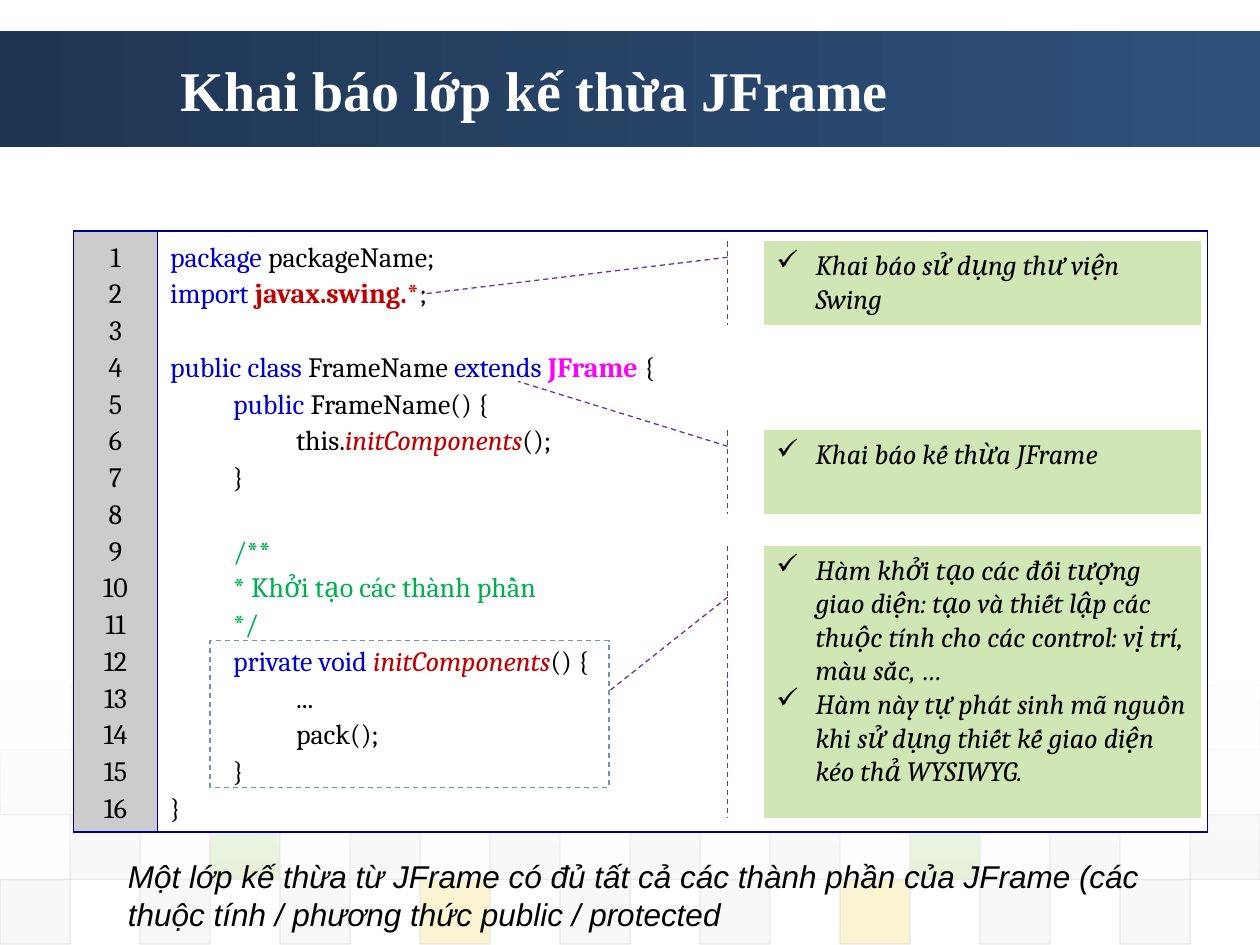
"""Builds a slide about declaring a class that inherits from JFrame."""
import dataclasses
import typing

import pptx
import pptx.dml.color
import pptx.enum.dml
import pptx.enum.shapes
import pptx.enum.text
import pptx.oxml
import pptx.oxml.ns
import pptx.util

Pt = pptx.util.Pt
SHAPES = pptx.enum.shapes.MSO_SHAPE
DASH = pptx.enum.dml.MSO_LINE.DASH
ALIGN = pptx.enum.text.PP_ALIGN

BLACK, BLUE, RED, PINK, GREEN = "000000", "0000CC", "C00000", "FF00FF", "00B050"
TILE_COLORS = {"D": "DDDDDD", "E": "EAEAEA", "G": "8AC246", "Y": "EFC821"}
TILE_WIDTH, TILE_HEIGHT, TILE_TOP = 40, 37, 391.5


class TileRow(typing.NamedTuple):
    first_column: int
    opacity: int
    colors: str


class Run(typing.NamedTuple):
    text: str
    color: str = BLACK
    bold: bool = False
    italic: bool = False


class CodeLine(typing.NamedTuple):
    level: int = 0
    runs: tuple[Run, ...] = ()


@dataclasses.dataclass
class Callout:
    top: float
    height: float
    leader_y: float
    leader_x: float
    items: tuple[str, ...]


TILE_ROWS = (
    TileRow(1, 5, "YEEYDYEGE"),
    TileRow(0, 10, "DDDDGDDDY"),
    TileRow(1, 20, "DGDDDDGDD"),
    TileRow(0, 20, "DDDYDDYDD"),
)
INIT = Run("initComponents", RED, italic=True)
CODE = (
    CodeLine(0, (Run("package", BLUE), Run(" packageName;"))),
    CodeLine(0, (Run("import ", BLUE), Run("javax.swing.*", RED, bold=True), Run(";"))),
    CodeLine(),
    CodeLine(0, (Run("public class", BLUE), Run(" FrameName "), Run("extends ", BLUE),
                 Run("JFrame ", PINK, bold=True), Run("{"))),
    CodeLine(1, (Run("public", BLUE), Run(" FrameName() {"))),
    CodeLine(2, (Run("this."), INIT, Run("();"))),
    CodeLine(1, (Run("}"),)),
    CodeLine(1),
    CodeLine(1, (Run("/**", GREEN),)),
    CodeLine(1, (Run("* Khởi tạo các thành phần", GREEN),)),
    CodeLine(1, (Run("*/", GREEN),)),
    CodeLine(1, (Run("private void ", BLUE), INIT, Run("() {"))),
    CodeLine(2, (Run("..."),)),
    CodeLine(2, (Run("pack();"),)),
    CodeLine(1, (Run("}"),)),
    CodeLine(0, (Run("}"),)),
)
CALLOUTS = (
    Callout(246, 48, -0.585, -0.562, ("Khai báo kế thừa JFrame",)),
    Callout(138, 48, 0.627, -0.782, ("Khai báo sử dụng thư viện Swing",)),
    Callout(312, 155.5, 0.531, -0.352, (
        "Hàm khởi tạo các đối tượng giao diện: tạo và thiết lập các thuộc tính "
        "cho các control: vị trí, màu sắc, …",
        "Hàm này tự phát sinh mã nguồn khi sử dụng thiết kế giao diện kéo thả WYSIWYG.",
    )),
)


def rgb(color: str) -> pptx.dml.color.RGBColor:
    return pptx.dml.color.RGBColor.from_string(color)


def add_element(parent, tag: str, **attributes):
    element = pptx.oxml.parse_xml(f"<a:{tag} {pptx.oxml.ns.nsdecls('a')}/>")
    for name, value in attributes.items():
        element.set(name, str(value))
    parent.append(element)
    return element


def set_opacity(container, *percentages: int) -> None:
    colors = container.iter(pptx.oxml.ns.qn("a:srgbClr"))
    for color, percentage in zip(colors, percentages):
        add_element(color, "alpha", val=percentage * 1000)


def add_text(paragraph, text: str, *, size: float = 16, font: str = "Cambria",
             color: str = BLACK, bold: bool = False, italic: bool = False) -> None:
    run = paragraph.add_run()
    run.text = text
    run.font.size, run.font.name = Pt(size), font
    run.font.bold, run.font.italic = bold, italic
    run.font.color.rgb = rgb(color)


def add_panel(slide, left: float, top: float, width: float, height: float, *,
              kind=SHAPES.RECTANGLE, fill: str | None = None,
              line: str | None = None, dashed: bool = False):
    shape = slide.shapes.add_shape(kind, Pt(left), Pt(top), Pt(width), Pt(height))
    shape.shadow.inherit = False
    if fill:
        shape.fill.solid()
        shape.fill.fore_color.rgb = rgb(fill)
    else:
        shape.fill.background()
    if line:
        shape.line.color.rgb = rgb(line)
        shape.line.width = Pt(0.75)
        if dashed:
            shape.line.dash_style = DASH
    else:
        shape.line.fill.background()
    return shape


def set_gradient(shape, colors: tuple[str, str], angle: float) -> None:
    shape.fill.gradient()
    shape.fill.gradient_angle = angle
    for position, (stop, color) in enumerate(zip(shape.fill.gradient_stops, colors)):
        stop.position = position
        stop.color.rgb = rgb(color)


def add_background(slide) -> None:
    set_gradient(add_panel(slide, 0, 18, 720, 66), ("1F3653", "2E507A"), 0)
    for row_index, row in enumerate(TILE_ROWS):
        for index, key in enumerate(row.colors):
            left = (row.first_column + 2 * index) * TILE_WIDTH
            tile = add_panel(slide, left, TILE_TOP + row_index * TILE_HEIGHT, TILE_WIDTH,
                             TILE_HEIGHT, fill=TILE_COLORS[key], line="DDDDDD")
            set_opacity(tile.element.spPr, row.opacity, 60)
    fade = add_panel(slide, 0, 386.5, 720, 116.5)
    set_gradient(fade, ("FFFFFF", "FFFFFF"), 270)
    set_opacity(fade.element.spPr, 90, 0)


def add_title(slide) -> None:
    title = slide.shapes.title
    title.left, title.top, title.width, title.height = Pt(96), Pt(18), Pt(582), Pt(66)
    title.text_frame.vertical_anchor = pptx.enum.text.MSO_ANCHOR.MIDDLE
    paragraph = title.text_frame.paragraphs[0]
    paragraph.alignment = ALIGN.LEFT
    add_text(paragraph, "Khai báo lớp kế thừa JFrame", size=32,
             font="Times New Roman", color="FFFFFF", bold=True)
    slide.shapes.element.append(title.element)


def format_cell(cell, fill: str) -> None:
    cell.fill.solid()
    cell.fill.fore_color.rgb = rgb(fill)
    properties = cell._tc.get_or_add_tcPr()
    for index, side in enumerate(("lnL", "lnR", "lnT", "lnB")):
        border = add_element(properties, side, w=Pt(1))
        add_element(add_element(border, "solidFill"), "srgbClr", val="000090")
        properties.insert(index, border)


def next_paragraph(text_frame, index: int):
    return text_frame.add_paragraph() if index else text_frame.paragraphs[0]


def add_code_table(slide) -> None:
    table = slide.shapes.add_table(1, 2, Pt(42), Pt(132), Pt(648), Pt(343.5)).table
    table.first_row = table.horz_banding = False
    table.columns[0].width, table.columns[1].width = Pt(48), Pt(600)
    numbers, code = table.cell(0, 0), table.cell(0, 1)
    format_cell(numbers, "CCCCCC")
    format_cell(code, "FFFFFF")
    for index, line in enumerate(CODE):
        number = next_paragraph(numbers.text_frame, index)
        number.alignment, number.line_spacing = ALIGN.CENTER, Pt(21)
        add_text(number, str(index + 1))
        paragraph = next_paragraph(code.text_frame, index)
        paragraph.level, paragraph.line_spacing = line.level, Pt(21)
        paragraph._p.get_or_add_pPr().set("marL", str(Pt(36 * line.level)))
        for run in line.runs:
            add_text(paragraph, run.text, color=run.color, bold=run.bold, italic=run.italic)


def add_callout(slide, callout: Callout) -> None:
    shape = add_panel(slide, 436.5, callout.top, 250, callout.height, fill="D0E7B5",
                      kind=SHAPES.LINE_CALLOUT_1_ACCENT_BAR, line="7030A0", dashed=True)
    for index, value in enumerate((0.188, -0.083, callout.leader_y, callout.leader_x)):
        shape.adjustments[index] = value
    shape.text_frame.word_wrap = True
    shape.text_frame.vertical_anchor = pptx.enum.text.MSO_ANCHOR.TOP
    for index, item in enumerate(callout.items):
        paragraph = next_paragraph(shape.text_frame, index)
        paragraph.alignment = ALIGN.LEFT
        properties = paragraph._p.get_or_add_pPr()
        properties.set("marL", str(Pt(22.5)))
        properties.set("indent", str(-Pt(22.5)))
        add_element(properties, "buChar", char="✓")
        add_text(paragraph, item, italic=True)


def main() -> None:
    presentation = pptx.Presentation()
    presentation.slide_width, presentation.slide_height = Pt(720), Pt(540)
    slide = presentation.slides.add_slide(presentation.slide_layouts[5])
    add_background(slide)
    add_title(slide)
    add_code_table(slide)
    for callout in CALLOUTS:
        add_callout(slide, callout)
    add_panel(slide, 120, 366, 228, 84, line="7091BD", dashed=True)
    note = slide.shapes.add_textbox(Pt(66), Pt(486), Pt(624), Pt(51)).text_frame
    note.word_wrap = True
    add_text(note.paragraphs[0], "Một lớp kế thừa từ JFrame có đủ tất cả các thành phần của "
             "JFrame (các thuộc tính / phương thức public / protected",
             size=18, font="Arial", italic=True)
    presentation.save("out.pptx")


if __name__ == "__main__":
    main()
